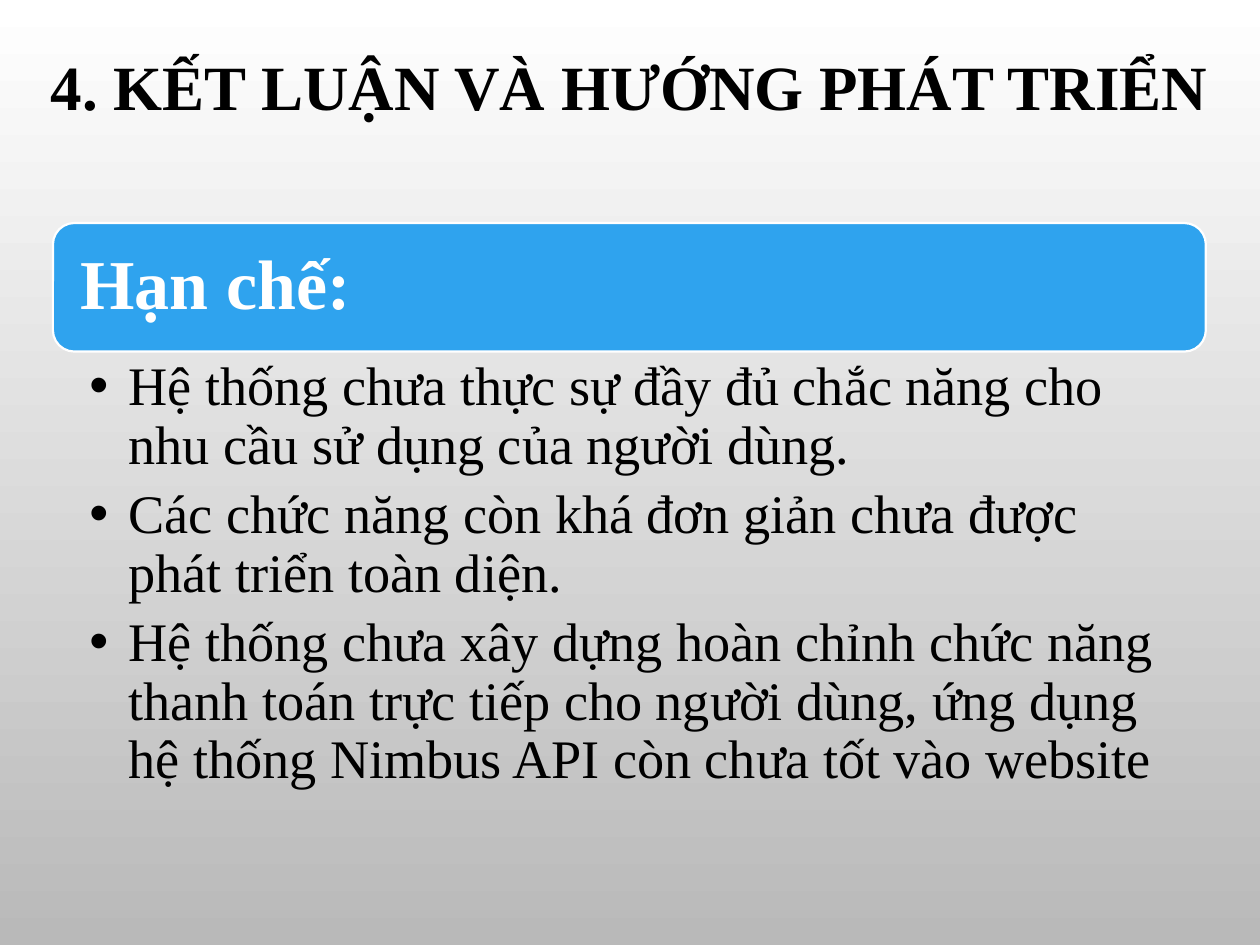
import pptx
import pptx.dml.color
import pptx.enum.shapes
import pptx.enum.text
import pptx.oxml
import pptx.util
from pptx.util import Inches

BLACK = pptx.dml.color.RGBColor(0x00, 0x00, 0x00)
WHITE = pptx.dml.color.RGBColor(0xFF, 0xFF, 0xFF)
GREY = pptx.dml.color.RGBColor(0xB9, 0xB9, 0xB9)
BLUE = pptx.dml.color.RGBColor(0x2F, 0xA3, 0xEE)
ALIGN = pptx.enum.text.PP_ALIGN
ANCHOR = pptx.enum.text.MSO_ANCHOR

LIMITS = [
    "Hệ thống chưa thực sự đầy đủ chắc năng cho nhu cầu sử dụng của người dùng.",
    "Các chức năng còn khá đơn giản chưa được phát triển toàn diện.",
    "Hệ thống chưa xây dựng hoàn chỉnh chức năng thanh toán trực tiếp cho "
    "người dùng, ứng dụng hệ thống Nimbus API còn chưa tốt vào website",
]


def write(para, text, size, color=BLACK, bold=False, align=ALIGN.LEFT,
          line_spacing=1.0, after=0):
    para.alignment = align
    para.line_spacing = line_spacing
    para.space_before = pptx.util.Pt(0)
    para.space_after = pptx.util.Pt(after)
    span = para.add_run()
    span.text = text
    span.font.name = "Times New Roman"
    span.font.size = pptx.util.Pt(size)
    span.font.bold = bold
    span.font.color.rgb = color


class SlideBuilder:
    def __init__(self, deck):
        self.page = deck.slides.add_slide(deck.slide_layouts[1])

    def background(self, top, bottom):
        fill = self.page.background.fill
        fill.gradient()
        fill.gradient_angle = 270
        for stop, color in zip(fill.gradient_stops, (top, bottom)):
            stop.color.rgb = color

    def frame(self, box, anchor, left, top, right, bottom):
        frame = box.text_frame
        frame.word_wrap = True
        frame.auto_size = pptx.enum.text.MSO_AUTO_SIZE.NONE
        frame.vertical_anchor = anchor
        frame.margin_left, frame.margin_right = Inches(left), Inches(right)
        frame.margin_top, frame.margin_bottom = Inches(top), Inches(bottom)
        return frame

    def place(self, box, left, top, width, height):
        box.left, box.top = Inches(left), Inches(top)
        box.width, box.height = Inches(width), Inches(height)

    def title(self, text):
        box = self.page.shapes.title
        self.place(box, 0.25, 0.33, 9.49, 0.71)
        frame = self.frame(box, ANCHOR.TOP, 0.1, 0.05, 0.1, 0.05)
        write(frame.paragraphs[0], text, 36, bold=True, align=ALIGN.CENTER)

    def banner(self, text, left, top, width, height):
        box = self.page.shapes.add_shape(
            pptx.enum.shapes.MSO_SHAPE.ROUNDED_RECTANGLE,
            Inches(left), Inches(top), Inches(width), Inches(height))
        box.shadow.inherit = False
        box.fill.solid()
        box.fill.fore_color.rgb = BLUE
        box.line.color.rgb = WHITE
        box.line.width = pptx.util.Pt(1.25)
        frame = self.frame(box, ANCHOR.MIDDLE, 0.17, 0.17, 0.17, 0.17)
        write(frame.paragraphs[0], text, 40, color=WHITE, bold=True, line_spacing=0.9)

    def bullets(self, items, left, top, width, height):
        box = self.page.placeholders[1]
        self.place(box, left, top, width, height)
        frame = self.frame(box, ANCHOR.TOP, 0.29, 0.06, 0.31, 0.06)
        for index, item in enumerate(items):
            para = frame.add_paragraph() if index else frame.paragraphs[0]
            write(para, item, 31, line_spacing=0.9, after=6)
            # Hanging indent and bullet sign
            props = para._p.get_or_add_pPr()
            props.set("marL", str(Inches(0.31)))
            props.set("indent", str(-Inches(0.31)))
            bullet = pptx.oxml.parse_xml(
                '<a:buChar xmlns:a="http://schemas.openxmlformats.org/drawingml/2006/main"'
                ' char="•"/>')
            props.append(bullet)


def main():
    deck = pptx.Presentation()
    deck.slide_width, deck.slide_height = Inches(10), Inches(7.5)
    slide = SlideBuilder(deck)
    slide.background(WHITE, GREY)
    slide.title("4. KẾT LUẬN VÀ HƯỚNG PHÁT TRIỂN")

    # Heading banner with the list directly below it
    left, top, width, height = 0.42, 1.77, 9.15, 1.02
    slide.banner("Hạn chế:", left, top, width, height)
    slide.bullets(LIMITS, left, top + height, width, 3.44)
    deck.save("out.pptx")


if __name__ == "__main__":
    main()
